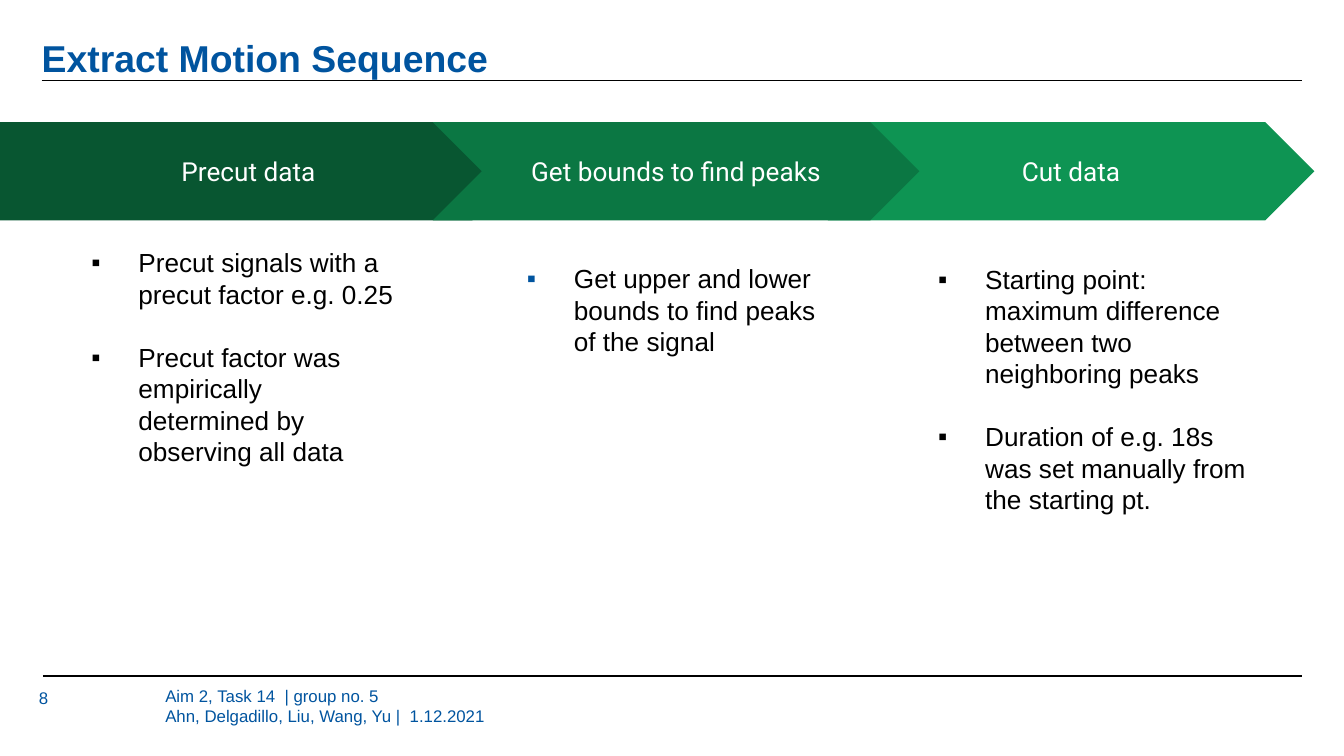
from lxml import etree
from pptx import Presentation
from pptx.dml.color import RGBColor
from pptx.enum.shapes import MSO_CONNECTOR, MSO_SHAPE
from pptx.enum.text import MSO_ANCHOR, MSO_AUTO_SIZE, PP_ALIGN
from pptx.oxml.ns import qn
from pptx.util import Inches, Pt

STRAIGHT = MSO_CONNECTOR.STRAIGHT
CHEVRON, PENTAGON = MSO_SHAPE.CHEVRON, MSO_SHAPE.PENTAGON
TOP, MIDDLE, BOTTOM = MSO_ANCHOR.TOP, MSO_ANCHOR.MIDDLE, MSO_ANCHOR.BOTTOM
LEFT, CENTER = PP_ALIGN.LEFT, PP_ALIGN.CENTER
NO_AUTOFIT = MSO_AUTO_SIZE.NONE

BLUE = RGBColor(0x00, 0x54, 0x9F)
BLACK = RGBColor(0x00, 0x00, 0x00)
WHITE = RGBColor(0xFF, 0xFF, 0xFF)
DARK_GREEN = RGBColor(0x08, 0x56, 0x31)
MID_GREEN = RGBColor(0x0B, 0x77, 0x43)
LIGHT_GREEN = RGBColor(0x0E, 0x94, 0x53)


class SlideBuilder:
    BODY_FONT, STEP_FONT = "Arial", "Roboto"
    BODY_SIZE, FOOTER_SIZE, TITLE_SIZE = 14, 9, 20

    def __init__(self, slide):
        self.slide = slide

    def place(self, shape, left, top, width, height):
        shape.left, shape.top = Inches(left), Inches(top)
        shape.width, shape.height = Inches(width), Inches(height)

    def frame(self, shape, anchor, inset=0):
        frame = shape.text_frame
        frame.auto_size = NO_AUTOFIT
        frame.word_wrap = True
        frame.vertical_anchor = anchor
        frame.margin_left = frame.margin_right = Inches(inset)
        frame.margin_top = frame.margin_bottom = Inches(inset)
        return frame

    def run(self, paragraph, text, size, color, font=BODY_FONT, bold=False):
        run = paragraph.add_run()
        run.text = text
        run.font.name, run.font.size = font, Pt(size)
        run.font.bold, run.font.color.rgb = bold, color

    def title(self, text, *box):
        title = self.slide.shapes.title
        self.place(title, *box)
        paragraph = self.frame(title, BOTTOM).paragraphs[0]
        paragraph.alignment, paragraph.line_spacing = LEFT, 0.9
        self.run(paragraph, text, self.TITLE_SIZE, BLUE, bold=True)

    def rule(self, left, right, y):
        rule = self.slide.shapes.add_connector(
            STRAIGHT, Inches(left), Inches(y), Inches(right), Inches(y))
        rule.line.color.rgb, rule.line.width = BLACK, Pt(0.75)
        etree.SubElement(rule._element.spPr, qn("a:effectLst"))

    def footer(self, lines, *box):
        footer = self.slide.shapes.add_textbox(*map(Inches, box))
        paragraph = self.frame(footer, TOP).paragraphs[0]
        for i, line in enumerate(lines):
            if i:
                paragraph.add_line_break()
            self.run(paragraph, line, self.FOOTER_SIZE, BLUE)

    def step(self, kind, text, color, *box):
        step = self.slide.shapes.add_shape(kind, *map(Inches, box))
        step.adjustments[0] = 0.5
        step.shadow.inherit = False
        step.fill.solid()
        step.fill.fore_color.rgb = color
        step.line.fill.background()
        paragraph = self.frame(step, MIDDLE, 0.1).paragraphs[0]
        paragraph.alignment = CENTER
        self.run(paragraph, text, self.BODY_SIZE, WHITE, self.STEP_FONT)

    def bullet(self, paragraph, color):
        props = paragraph._p.get_or_add_pPr()
        props.set("marL", str(Inches(0.5)))
        props.set("indent", str(Inches(-0.35)))
        bullet_color = etree.SubElement(props, qn("a:buClr"))
        etree.SubElement(bullet_color, qn("a:srgbClr"), val=str(color))
        etree.SubElement(props, qn("a:buFont"), typeface=self.BODY_FONT)
        etree.SubElement(props, qn("a:buChar"), char="▪")

    def bullets(self, body, items, bullet_color, *box):
        self.place(body, *box)
        frame = self.frame(body, MIDDLE)
        for i, item in enumerate(items):
            paragraph = frame.add_paragraph() if i else frame.paragraphs[0]
            paragraph.alignment, paragraph.line_spacing = LEFT, 1.0
            paragraph.space_before = Pt(17 if i else 0)
            self.bullet(paragraph, bullet_color)
            self.run(paragraph, item, self.BODY_SIZE, BLACK)


prs = Presentation()
# Widescreen, 16 to 9
prs.slide_width, prs.slide_height = Inches(10), Inches(10 * 9 / 16)
# The comparison layout offers a title and four bodies
slide = prs.slides.add_slide(prs.slide_layouts[4])
builder = SlideBuilder(slide)

# Title, rules and footer
builder.rule(0.31, 9.69, 0.6)
builder.rule(0.32, 9.69, 5.03)
builder.footer(["8"], 0.29, 5.12, 0.8, 0.43)
builder.footer(["Aim 2, Task 14  | group no. 5",
                "Ahn, Delgadillo, Liu, Wang, Yu |  1.12.2021"],
               1.23, 5.1, 4.65, 0.47)
builder.title("Extract Motion Sequence", 0.31, 0.15, 9.37, 0.45)

# Process arrows, the middle one on top
STEPS = [
    (CHEVRON, "Cut data", LIGHT_GREEN, 6.16, 3.62),
    (PENTAGON, "Precut data", DARK_GREEN, 0, 3.88),
    (CHEVRON, "Get bounds to find peaks", MID_GREEN, 3.22, 3.62),
]
for kind, label, color, left, width in STEPS:
    builder.step(kind, label, color, left, 0.91, width, 0.73)

# Details below each arrow
DETAILS = [
    (0.53, 1.41, BLACK,
     ["Precut signals with a precut factor e.g. 0.25",
      "Precut factor was empirically determined by observing all data"]),
    (3.77, 0.71, BLUE,
     ["Get upper and lower bounds to find peaks of the signal"]),
    (6.83, 1.89, BLACK,
     ["Starting point: maximum difference between two neighboring peaks",
      "Duration of e.g. 18s was set manually from the starting pt."]),
]
_, *bodies, spare = slide.placeholders
for body, (left, height, color, items) in zip(bodies, DETAILS):
    builder.bullets(body, items, color, left, 1.95, 2.45, height)
spare._element.getparent().remove(spare._element)

prs.save("out.pptx")
